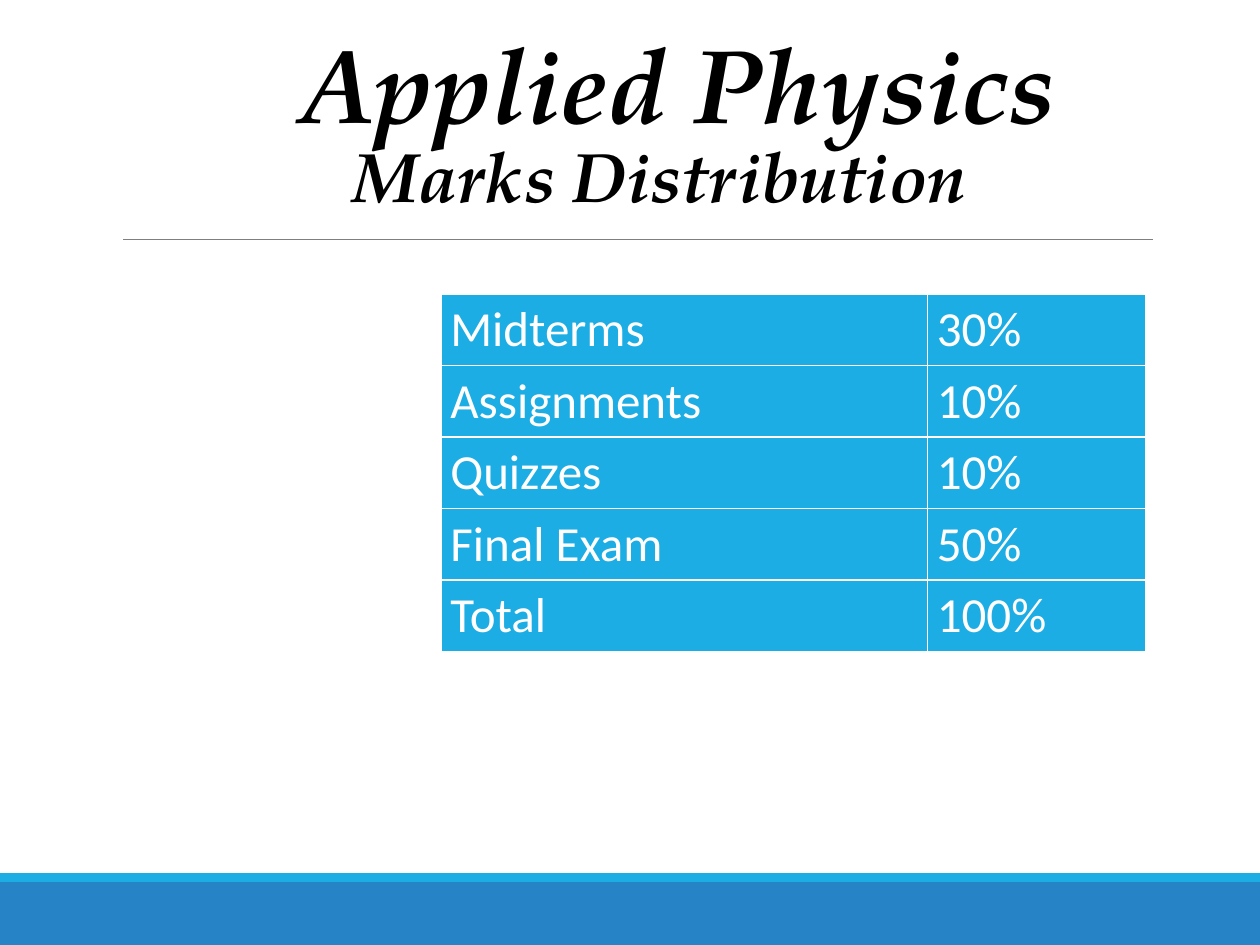
import pptx
import pptx.dml.color
import pptx.enum.shapes
import pptx.enum.text
import pptx.oxml.ns
import pptx.util
from lxml import etree

Pt = pptx.util.Pt


def colour(value):
    return pptx.dml.color.RGBColor.from_string(value)


class SlideBuilder:
    """Holds the style and the current slide."""

    title_font = "TeX Gyre Pagella"
    body_font = "Calibri"
    blue = "2683C6"
    cyan = "1CADE4"

    def __init__(self, slide):
        self.slide = slide

    def bar(self, left, top, width, height, fill):
        shape = self.slide.shapes.add_shape(
            pptx.enum.shapes.MSO_SHAPE.RECTANGLE, Pt(left), Pt(top), Pt(width), Pt(height))
        shape.shadow.inherit = False
        shape.fill.solid()
        shape.fill.fore_color.rgb = colour(fill)
        shape.line.fill.background()

    def rule(self, left, right, top):
        line = self.slide.shapes.add_connector(
            pptx.enum.shapes.MSO_CONNECTOR.STRAIGHT, Pt(left), Pt(top), Pt(right), Pt(top))
        line.line.color.rgb = colour("7F7F7F")
        line.line.width = Pt(0.5)
        etree.SubElement(line._element.spPr, pptx.oxml.ns.qn("a:effectLst"))

    def format_run(self, run, size, font, text_colour, strong=False):
        run.font.size = Pt(size)
        run.font.name = font
        run.font.color.rgb = colour(text_colour)
        run.font.bold = run.font.italic = strong

    def title(self, left, top, width, height, lines):
        text_frame = self.slide.shapes.add_textbox(
            Pt(left), Pt(top), Pt(width), Pt(height)).text_frame
        text_frame.word_wrap = True
        text_frame.vertical_anchor = pptx.enum.text.MSO_ANCHOR.BOTTOM
        text_frame.text = "\n".join(text for text, size, indent in lines)
        for paragraph, (text, size, indent) in zip(text_frame.paragraphs, lines):
            paragraph.alignment = pptx.enum.text.PP_ALIGN.CENTER
            paragraph.line_spacing = 0.85
            # Right indent shifts the centred line to the left
            paragraph._p.get_or_add_pPr().set("marR", str(Pt(indent)))
            self.format_run(paragraph.runs[0], size, self.title_font, "000000", strong=True)

    def table(self, left, top, column_widths, row_height, rows):
        table = self.slide.shapes.add_table(
            len(rows), len(column_widths), Pt(left), Pt(top),
            Pt(sum(column_widths)), Pt(row_height * len(rows))).table
        table.first_row = table.horz_banding = False
        for column, width in zip(table.columns, column_widths):
            column.width = Pt(width)
        for row, texts in zip(table.rows, rows):
            row.height = Pt(row_height)
            for cell, text in zip(row.cells, texts):
                cell.fill.solid()
                cell.fill.fore_color.rgb = colour(self.cyan)
                cell.margin_left = cell.margin_right = Pt(5.4)
                cell.vertical_anchor = pptx.enum.text.MSO_ANCHOR.MIDDLE
                cell.text_frame.text = text
                self.format_run(cell.text_frame.paragraphs[0].runs[0],
                                28, self.body_font, "FFFFFF")


def main():
    presentation = pptx.Presentation()
    presentation.slide_width, presentation.slide_height = Pt(720), Pt(540)
    builder = SlideBuilder(presentation.slides.add_slide(presentation.slide_layouts[6]))

    # Footer bars and title rule
    builder.bar(0, 504, 720, 36, builder.blue)
    builder.bar(0, 499, 720, 5, builder.cyan)
    builder.rule(70.5, 659, 136.8)

    # Title: text, size, right indent
    builder.title(54, 0, 666, 127.4, [("Applied Physics", 60, 0),
                                      ("Marks Distribution", 40, 20)])

    # Marks table
    builder.table(252, 168, (278, 124.6), 40.8, [
        ("Midterms", "30%"),
        ("Assignments", "10%"),
        ("Quizzes", "10%"),
        ("Final Exam", "50%"),
        ("Total", "100%"),
    ])

    presentation.save("out.pptx")


if __name__ == "__main__":
    main()
